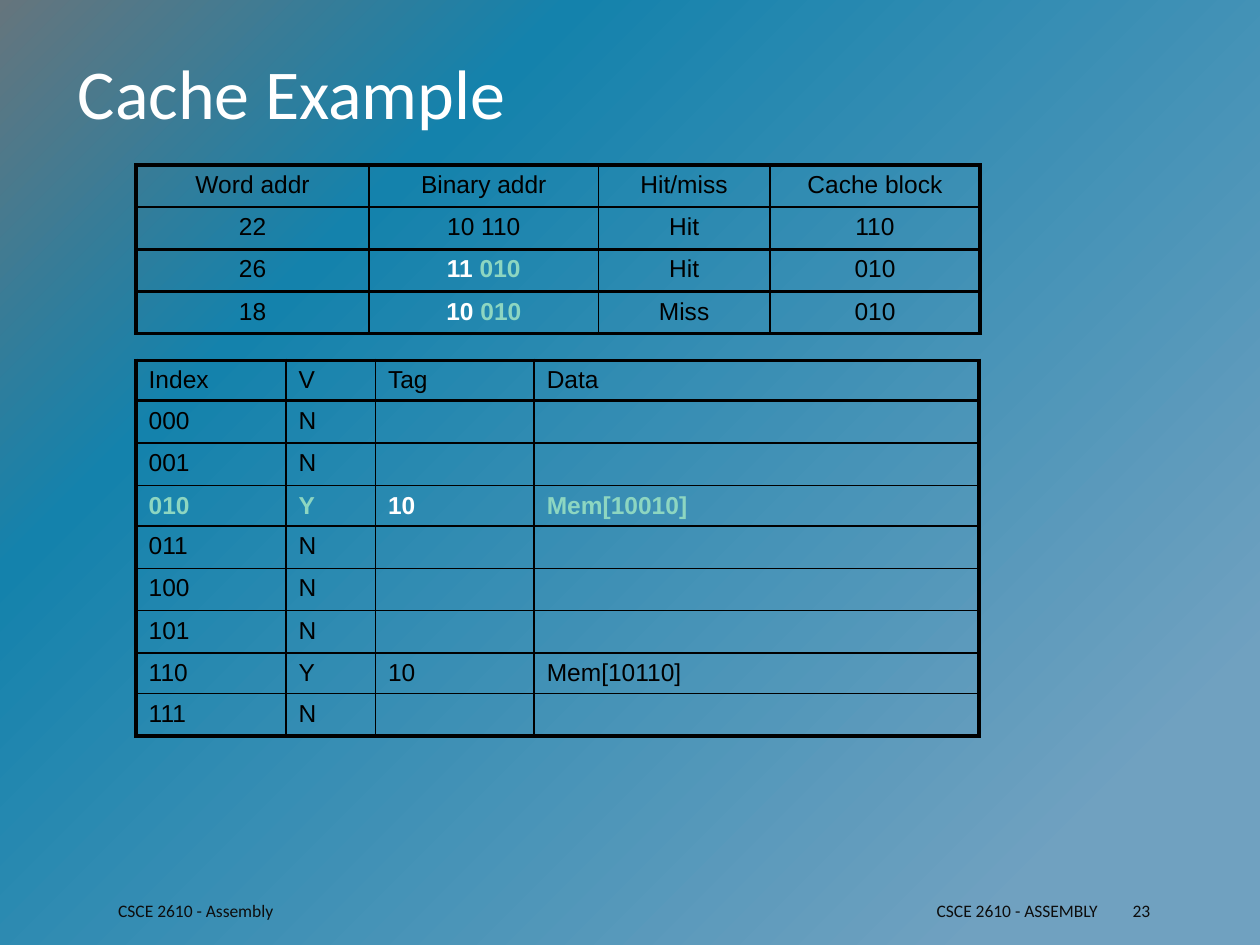
"""Build the cache example slide: an access table above the cache contents table."""
from lxml import etree
from pptx import Presentation
from pptx.dml.color import RGBColor
from pptx.enum.text import MSO_ANCHOR, PP_ALIGN
from pptx.oxml import parse_xml
from pptx.oxml.ns import nsdecls, qn
from pptx.util import Inches, Pt

LEFT, CENTER, RIGHT = PP_ALIGN.LEFT, PP_ALIGN.CENTER, PP_ALIGN.RIGHT
MIDDLE = MSO_ANCHOR.MIDDLE

COLORS = {
    "black": "000000", "white": "FFFFFF", "mint": "8DD6C1", "footer": "0D0D0D",
    "mist": "70A1C0", "blue": "1482AC", "slate": "65757D",
}
BACKGROUND_STOPS = [(13, "mist"), (74, "blue"), (100, "slate")]
OUTER_BORDER, HEADER_BORDER, THIN_BORDER = 2.25, 1.5, 1

TEXTS = [
    ("Cache Example", (0.52, 0.31, 9.03, 0.83), {"size": 40, "color": "white"}),
    ("CSCE 2610 - Assembly", (0.84, 7.08, 1.77, 0.3), {}),
    ("CSCE 2610 - ASSEMBLY", (3.97, 7.08, 4.84, 0.3), {"align": RIGHT}),
    ("23", (8.89, 7.08, 0.8, 0.3), {}),
]

CACHE = {
    "top": 2.86, "row_height": 0.32, "align": LEFT, "row_border": THIN_BORDER,
    "columns": [1.19, 0.71, 1.26, 3.53],
    "rows": [
        ["Index", "V", "Tag", "Data"],
        ["000", "N", "", ""],
        ["001", "N", "", ""],
        [[("010", "mint")], [("Y", "mint")], [("10", "white")], [("Mem[10010]", "mint")]],
        ["011", "N", "", ""],
        ["100", "N", "", ""],
        ["101", "N", "", ""],
        ["110", "Y", "10", "Mem[10110]"],
        ["111", "N", "", ""],
    ],
}
ACCESSES = {
    "top": 1.31, "row_height": 0.335, "align": CENTER, "row_border": HEADER_BORDER,
    "columns": [1.85, 1.82, 1.36, 1.67],
    "rows": [
        ["Word addr", "Binary addr", "Hit/miss", "Cache block"],
        ["22", "10 110", "Hit", "110"],
        ["26", [("11 ", "white"), ("010", "mint")], "Hit", "010"],
        ["18", [("10", "white"), (" 010", "mint")], "Miss", "010"],
    ],
}
TABLE_LEFT = 1.08


def write(para, text, size=10, font="Calibri", color="footer", bold=False, align=LEFT):
    para.alignment = align
    span = para.add_run()
    span.text = text
    span.font.size = Pt(size)
    span.font.name = font
    span.font.bold = bold
    span.font.color.rgb = RGBColor.from_string(COLORS[color])


def paint_background(page):
    page.background.fill.solid()
    stops = "".join(
        f'<a:gs pos="{place * 1000}"><a:srgbClr val="{COLORS[name]}"/></a:gs>'
        for place, name in BACKGROUND_STOPS
    )
    gradient = parse_xml(
        f'<a:gradFill {nsdecls("a")} rotWithShape="1"><a:gsLst>{stops}</a:gsLst>'
        '<a:path path="circle"><a:fillToRect l="100000" t="100000"/></a:path></a:gradFill>'
    )
    properties = page.element.find(".//" + qn("p:bgPr"))
    properties.replace(properties[0], gradient)


def set_borders(cell, widths):
    properties = cell._tc.get_or_add_tcPr()
    for side, width in zip("LRTB", widths):
        properties.append(parse_xml(
            f'<a:ln{side} {nsdecls("a")} w="{Pt(width)}"><a:solidFill>'
            f'<a:srgbClr val="{COLORS["black"]}"/></a:solidFill></a:ln{side}>'
        ))


def fill_cell(cell, content, align):
    para = cell.text_frame.paragraphs[0]
    para.alignment = align
    spacing = etree.SubElement(para._p.get_or_add_pPr(), qn("a:spcBef"))
    etree.SubElement(spacing, qn("a:spcPct"), val="20000")
    if not content:
        etree.SubElement(para._p, qn("a:endParaRPr"), sz="1400")
    elif isinstance(content, str):
        write(para, content, size=14, font="Arial", color="black", align=align)
    else:
        for text, color in content:
            write(para, text, size=14, font="Arial", color=color, bold=True, align=align)


def add_grid(page, data):
    rows, columns = data["rows"], data["columns"]
    height = data["row_height"]
    table = page.shapes.add_table(
        len(rows), len(columns), Inches(TABLE_LEFT), Inches(data["top"]),
        Inches(sum(columns)), Inches(height * len(rows))).table
    table.first_row = table.horz_banding = False
    for column, width in zip(table.columns, columns):
        column.width = Inches(width)
    across = [OUTER_BORDER] + [THIN_BORDER] * (len(columns) - 1) + [OUTER_BORDER]
    down = [OUTER_BORDER, HEADER_BORDER] + [data["row_border"]] * (len(rows) - 2) + [OUTER_BORDER]
    for r, row in enumerate(rows):
        table.rows[r].height = Inches(height)
        for c, content in enumerate(row):
            cell = table.cell(r, c)
            fill_cell(cell, content, data["align"])
            set_borders(cell, (across[c], across[c + 1], down[r], down[r + 1]))
            cell.fill.background()


def add_text(page, text, place, style):
    box = page.shapes.add_textbox(*(Inches(length) for length in place))
    box.text_frame.word_wrap = True
    box.text_frame.vertical_anchor = MIDDLE
    write(box.text_frame.paragraphs[0], text, **style)


def main():
    deck = Presentation()
    deck.slide_width, deck.slide_height = Inches(10), Inches(7.5)
    page = deck.slides.add_slide(deck.slide_layouts[6])
    paint_background(page)
    for data in (CACHE, ACCESSES):
        add_grid(page, data)
    for text, place, style in TEXTS:
        add_text(page, text, place, style)
    deck.save("out.pptx")


if __name__ == "__main__":
    main()
